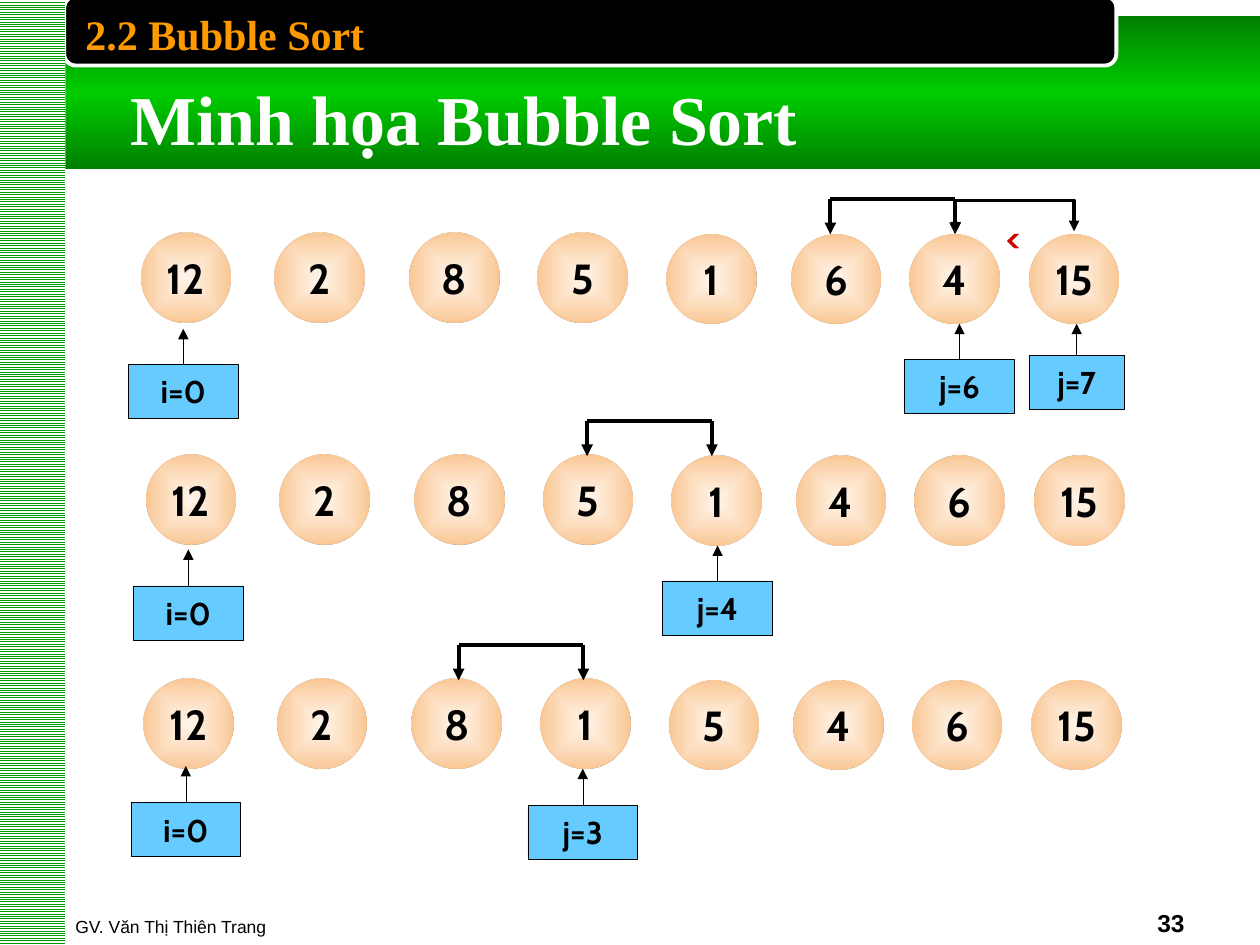
from copy import deepcopy
from lxml import etree
from pptx import Presentation
from pptx.dml.color import RGBColor
from pptx.enum.dml import MSO_PATTERN
from pptx.enum.shapes import MSO_CONNECTOR, MSO_SHAPE
from pptx.enum.text import MSO_ANCHOR, PP_ALIGN
from pptx.oxml.ns import qn
from pptx.util import Inches, Pt

RECT, ROUND, OVAL = MSO_SHAPE.RECTANGLE, MSO_SHAPE.ROUNDED_RECTANGLE, MSO_SHAPE.OVAL
STRAIGHT, ELBOW = MSO_CONNECTOR.STRAIGHT, MSO_CONNECTOR.ELBOW
LEFT, CENTER, RIGHT = PP_ALIGN.LEFT, PP_ALIGN.CENTER, PP_ALIGN.RIGHT
TOP, MIDDLE, BOTTOM = MSO_ANCHOR.TOP, MSO_ANCHOR.MIDDLE, MSO_ANCHOR.BOTTOM
STRIPES = MSO_PATTERN.LIGHT_HORIZONTAL
rgb = RGBColor.from_string

prs = Presentation()
prs.slide_width, prs.slide_height = Inches(10), Inches(7.5)
slide = prs.slides.add_slide(prs.slide_layouts[6])


def place(text, left, top, width, height, kind=None, fill=None, outline=None, weight=0.25,
          size=18, font="Cabin", color="000000", bold=True, align=LEFT, anchor=TOP, wrap=True):
    bounds = Inches(left), Inches(top), Inches(width), Inches(height)
    if kind is None:
        item = slide.shapes.add_textbox(*bounds)
    else:
        item = slide.shapes.add_shape(kind, *bounds)
        item.shadow.inherit = False
        if fill:
            item.fill.solid()
            item.fill.fore_color.rgb = rgb(fill)
        if outline:
            item.line.color.rgb = rgb(outline)
            item.line.width = Pt(weight)
        else:
            item.line.fill.background()
    if text:
        frame = item.text_frame
        frame.word_wrap = wrap
        frame.vertical_anchor = anchor
        paragraph = frame.paragraphs[0]
        paragraph.alignment = align
        run = paragraph.add_run()
        run.text = text
        run.font.size = Pt(size)
        run.font.name = font
        run.font.bold = bold
        run.font.color.rgb = rgb(color)
    return item


def connect(x1, y1, x2, y2, weight, ends=(), kind=STRAIGHT):
    link = slide.shapes.add_connector(kind, Inches(x1), Inches(y1), Inches(x2), Inches(y2))
    link.line.color.rgb = rgb("000000")
    link.line.width = Pt(weight)
    outline = link.line._get_or_add_ln()
    for end in ends:
        etree.SubElement(outline, qn("a:" + end), type="triangle")
    etree.SubElement(link._element.spPr, qn("a:effectLst"))
    return link


banner = place("", 0, 0.13, 10, 1.21, RECT)
banner.fill.gradient()
banner.fill.gradient_angle = 90
edge, middle = banner.fill.gradient_stops
edge.color.rgb = rgb("008000")
middle.color.rgb = rgb("00CC00")
middle.position = 0.5
stops = banner._element.spPr.find(".//" + qn("a:gsLst"))
stops.append(deepcopy(stops[0]))
stops[2].set("pos", "100000")

place("", 0.51, -0.03, 8.35, 0.55, ROUND, "000000", "FFFFFF", 2.25)
sidebar = place("", 0, 0, 0.52, 7.5, RECT)
sidebar.fill.patterned()
sidebar.fill.pattern = STRIPES
sidebar.fill.fore_color.rgb = rgb("009900")
sidebar.fill.back_color.rgb = rgb("FFFFFF")

place("GV. Văn Thị Thiên Trang", 0.5, 6.99, 6.08, 0.5, size=10, font="Arial", bold=False, anchor=BOTTOM)
place("33", 7.17, 6.99, 2.33, 0.5, size=14, font="Arial", align=RIGHT, anchor=BOTTOM)
place("Minh họa Bubble Sort", 0.94, 0.55, 5.5, 0.77, size=40, font="Times New Roman",
      color="FFFFFF", wrap=False)
place("2.2 Bubble Sort", 0.58, 0.02, 7.67, 0.5, size=24, font="Times New Roman", color="FF9900")

columns = [0, 1.06, 2.13, 3.15, 4.17, 5.16, 6.1, 7.05]
passes = [
    (1.12, 1.85, [12, 2, 8, 5, 1, 6, 4, 15], 6.59),
    (1.16, 3.61, [12, 2, 8, 5, 1, 4, 6, 15], 4.66),
    (1.14, 5.39, [12, 2, 8, 1, 5, 4, 6, 15], 3.64),
]
for left, top, values, swap_left in passes:
    for i, (offset, value) in enumerate(zip(columns, values)):
        drop = 0.01 if i > 3 else 0
        ball = place(str(value), left + offset, top + drop, 0.71, 0.71, OVAL, outline="FFC489",
                     size=24, align=CENTER, anchor=MIDDLE, wrap=False)
        ball.fill.gradient()
        for stop, shade in zip(ball.fill.gradient_stops, ("FFCC99", "FAC896")):
            stop.color.rgb = rgb(shade)
        gradient = ball._element.spPr.find(qn("a:gradFill"))
        etree.SubElement(gradient.find(".//" + qn("a:srgbClr")), qn("a:alpha"), val="17000")
        gradient.remove(gradient.find(qn("a:lin")))
        radial = etree.SubElement(gradient, qn("a:path"), path="shape")
        etree.SubElement(radial, qn("a:fillToRect"), l="50000", t="50000", r="50000", b="50000")
    swap_right, swap_top = swap_left + 0.99, top - 0.27
    connect(swap_left, swap_top, swap_right, swap_top, 2.25)
    for x in (swap_left, swap_right):
        connect(x, swap_top, x, swap_top + 0.28, 2.25, ["tailEnd"])

pointers = [
    ("i=0", 1.02, 2.89, 0.87, 2.61),
    ("j=6", 7.18, 2.85, 0.87, 2.57),
    ("j=7", 8.17, 2.82, 0.75, 2.57),
    ("i=0", 1.06, 4.65, 0.87, 4.36),
    ("j=4", 5.26, 4.61, 0.87, 4.33),
    ("i=0", 1.04, 6.37, 0.87, 6.08),
    ("j=3", 4.19, 6.39, 0.87, 6.1),
]
for label, left, top, width, tip in pointers:
    index_box = place(label, left, top, width, 0.43, RECT, "66CCFF", "000000",
                      align=CENTER, anchor=MIDDLE, wrap=False)
    center = left + width / 2
    pointer = connect(center, top, center, tip, 0.25, ["tailEnd"])
    pointer.begin_connect(index_box, 0)

comparison = connect(8.06, 2.31, 8.05, 1.37, 2, ["headEnd", "tailEnd"], ELBOW)
comparison._element.spPr.find(qn("a:xfrm")).set("rot", "16200000")
adjustments = comparison._element.spPr.find(qn("a:prstGeom")).find(qn("a:avLst"))
etree.SubElement(adjustments, qn("a:gd"), name="adj1", fmla="val -2500000")
place("<", 7.83, 1.67, 0.43, 0.43, size=20, color="CC0000", align=CENTER, wrap=False)

prs.save("out.pptx")
